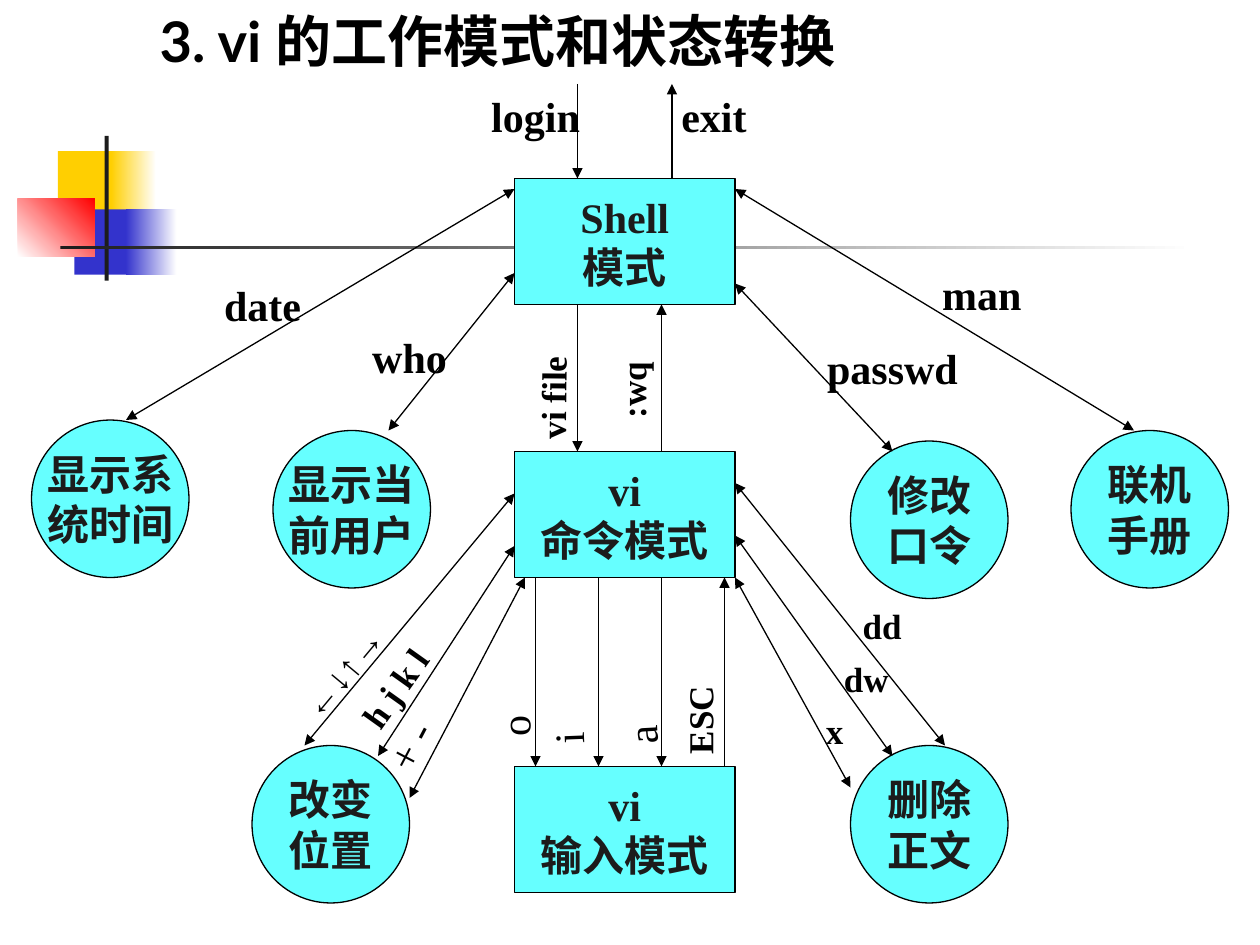
from lxml import etree
from pptx import Presentation
from pptx.dml.color import RGBColor
from pptx.enum.shapes import MSO_CONNECTOR, MSO_SHAPE
from pptx.enum.text import MSO_ANCHOR, MSO_AUTO_SIZE, PP_ALIGN
from pptx.oxml.ns import qn
from pptx.util import Cm, Pt

RECT = MSO_SHAPE.RECTANGLE
PROCESS = MSO_SHAPE.FLOWCHART_PROCESS
CIRCLE = MSO_SHAPE.FLOWCHART_CONNECTOR
STRAIGHT = MSO_CONNECTOR.STRAIGHT
CENTER = PP_ALIGN.CENTER
LEFT = PP_ALIGN.LEFT
TOP = MSO_ANCHOR.TOP
MIDDLE = MSO_ANCHOR.MIDDLE
GROW = MSO_AUTO_SIZE.SHAPE_TO_FIT_TEXT
NO_FIT = MSO_AUTO_SIZE.NONE

THEME = {
    "black": RGBColor.from_string("000000"),
    "ink": RGBColor.from_string("1C1C1C"),
    "white": RGBColor.from_string("FFFFFF"),
    "node": RGBColor.from_string("66FFFF"),
    "yellow": RGBColor.from_string("FFCF01"),
    "blue": RGBColor.from_string("3333CC"),
    "red": RGBColor.from_string("FF0000"),
    "title_font": "Lato",
    "body_font": "Times New Roman",
    "title": 32,
    "large": 24,
    "small": 20,
    "line": Pt(0.75),
}
GRID = Cm(25.4) // 120


def on_grid(*values):
    return [round(value * GRID) for value in values]


def style_text(frame, size, font, color, bold, align):
    for paragraph in frame.paragraphs:
        paragraph.alignment = align
        for run in paragraph.runs:
            run.font.size = Pt(size)
            run.font.name = font
            run.font.bold = bold
            run.font.color.rgb = color


prs = Presentation()
prs.slide_width = Cm(25.4)
prs.slide_height = Cm(19.05)
slide = prs.slides.add_slide(prs.slide_layouts[5])
shapes = slide.shapes

heading = shapes.title
heading.left, heading.top, heading.width, heading.height = on_grid(14, 0, 106, 8)
heading.text_frame.text = "3. vi 的工作模式和状态转换"
heading.text_frame.auto_size = NO_FIT
heading.text_frame.vertical_anchor = TOP
style_text(heading.text_frame, THEME["title"], THEME["title_font"], THEME["black"], True, LEFT)

ornaments = [
    (1.17, 3.05, 1.22, 1.32, "yellow", None, 0),
    (2.24, 3.05, 0.91, 1.32, "yellow", "white", 0),
    (1.5, 4.22, 1.17, 1.32, "blue", None, 0),
    (2.54, 4.22, 1.02, 1.32, "blue", "white", 0),
    (0.36, 4.01, 1.55, 1.17, "white", "red", 45),
    (2.11, 2.74, 0.08, 2.92, "ink", None, 0),
    (1.22, 4.95, 22.86, 0.08, "ink", "white", 0),
]
for left, top, width, height, start, end, angle in ornaments:
    ornament = shapes.add_shape(RECT, Cm(left), Cm(top), Cm(width), Cm(height))
    ornament.shadow.inherit = False
    ornament.line.fill.background()
    if end is None:
        ornament.fill.solid()
        ornament.fill.fore_color.rgb = THEME[start]
    else:
        ornament.fill.gradient()
        ornament.fill.gradient_angle = angle
        for stop, color in zip(ornament.fill.gradient_stops, (start, end)):
            stop.color.rgb = THEME[color]

node_sizes = {PROCESS: (21, 12), CIRCLE: (15, 15)}
nodes = [
    (PROCESS, 49, 17, "Shell\n模式"),
    (PROCESS, 49, 43, "vi\n命令模式"),
    (PROCESS, 49, 73, "vi\n输入模式"),
    (CIRCLE, 3, 40, "显示系\n统时间"),
    (CIRCLE, 26, 41, "显示当\n前用户"),
    (CIRCLE, 102, 41, "联机\n手册"),
    (CIRCLE, 81, 42, "修改\n口令"),
    (CIRCLE, 24, 71, "改变\n位置"),
    (CIRCLE, 81, 71, "删除\n正文"),
]
for kind, left, top, words in nodes:
    node = shapes.add_shape(kind, *on_grid(left, top, *node_sizes[kind]))
    node.shadow.inherit = False
    node.fill.solid()
    node.fill.fore_color.rgb = THEME["node"]
    node.line.color.rgb = THEME["black"]
    node.line.width = THEME["line"]
    node.text_frame.text = words
    node.text_frame.word_wrap = False
    node.text_frame.vertical_anchor = MIDDLE
    style_text(node.text_frame, THEME["large"], THEME["body_font"], THEME["ink"], True, CENTER)

one_way = [
    (55, 8, 55, 17), (64, 17, 64, 8),
    (55, 29, 55, 43), (63, 43, 63, 29),
    (69, 73, 69, 55), (51, 55, 51, 73),
    (57, 55, 57, 73), (63, 55, 63, 73),
]
two_way = [
    (49, 18, 12, 40), (49, 26, 37, 41),
    (70, 18, 108, 41), (70, 27, 85, 43),
    (49, 52, 36, 72), (50, 55, 39, 76), (49, 47, 29, 71),
    (70, 51, 85, 72), (70, 46, 90, 71), (70, 55, 81, 75),
]
for routes, ends in ((one_way, ["a:tailEnd"]), (two_way, ["a:headEnd", "a:tailEnd"])):
    for route in routes:
        transition = shapes.add_connector(STRAIGHT, *on_grid(*route))
        transition.line.color.rgb = THEME["black"]
        transition.line.width = THEME["line"]
        outline = transition.line._get_or_add_ln()
        for end in ends:
            etree.SubElement(outline, qn(end), type="triangle")
        etree.SubElement(transition._element.spPr, qn("a:effectLst"))

commands = [
    ("login", 43, 8, 16, 6, "large", True, 0, False),
    ("exit", 62, 8, 12, 6, "large", True, 0, False),
    ("date", 15, 26, 20, 6, "large", True, 0, False),
    ("who", 34, 31, 10, 6, "large", True, 0, False),
    ("passwd", 76, 32, 18, 6, "large", True, 0, False),
    ("man", 86, 25, 15, 6, "large", True, 0, False),
    ("o", 46.1, 67, 7.2, 5, "large", False, 0, True),
    ("i", 51, 68, 7.2, 4, "large", False, 177.8, True),
    ("a", 58, 67, 7.2, 5, "large", False, 176.9, True),
    ("ESC", 64, 62, 6.4, 11, "small", True, 180, True),
    ("dd", 79, 57, 10, 5.3, "small", True, 0, False),
    ("dw", 78, 62, 9, 5.3, "small", True, 0, False),
    ("x", 77, 67, 5, 5.3, "small", True, 0, False),
    ("←↓↑→", 19.6, 61.4, 26, 5.3, "small", True, 309.8, False),
    ("h j k l", 31.1, 62.9, 13, 5.3, "small", True, 305.4, False),
    ("+ -", 36.8, 64, 7.2, 11, "large", False, 207.8, True),
    ("vi file", 50, 30, 6.4, 13, "small", True, 180.6, True),
    (":wq", 57.6, 31, 6.4, 10, "small", True, 180.2, True),
]
for words, left, top, width, height, size, bold, angle, vertical in commands:
    command = shapes.add_textbox(*on_grid(left, top, width, height))
    command.rotation = angle
    frame = command.text_frame
    frame.text = words
    frame.word_wrap = True
    frame.auto_size = GROW
    if vertical:
        frame._txBody.bodyPr.set("vert", "eaVert")
        frame.margin_left = frame.margin_right = Cm(0.13)
        frame.margin_top = frame.margin_bottom = Cm(0.25)
    style_text(frame, THEME[size], THEME["body_font"], THEME["black"], bold, CENTER)
    frame.paragraphs[0].space_before = Pt(THEME[size] * 0.625)

prs.save("out.pptx")
